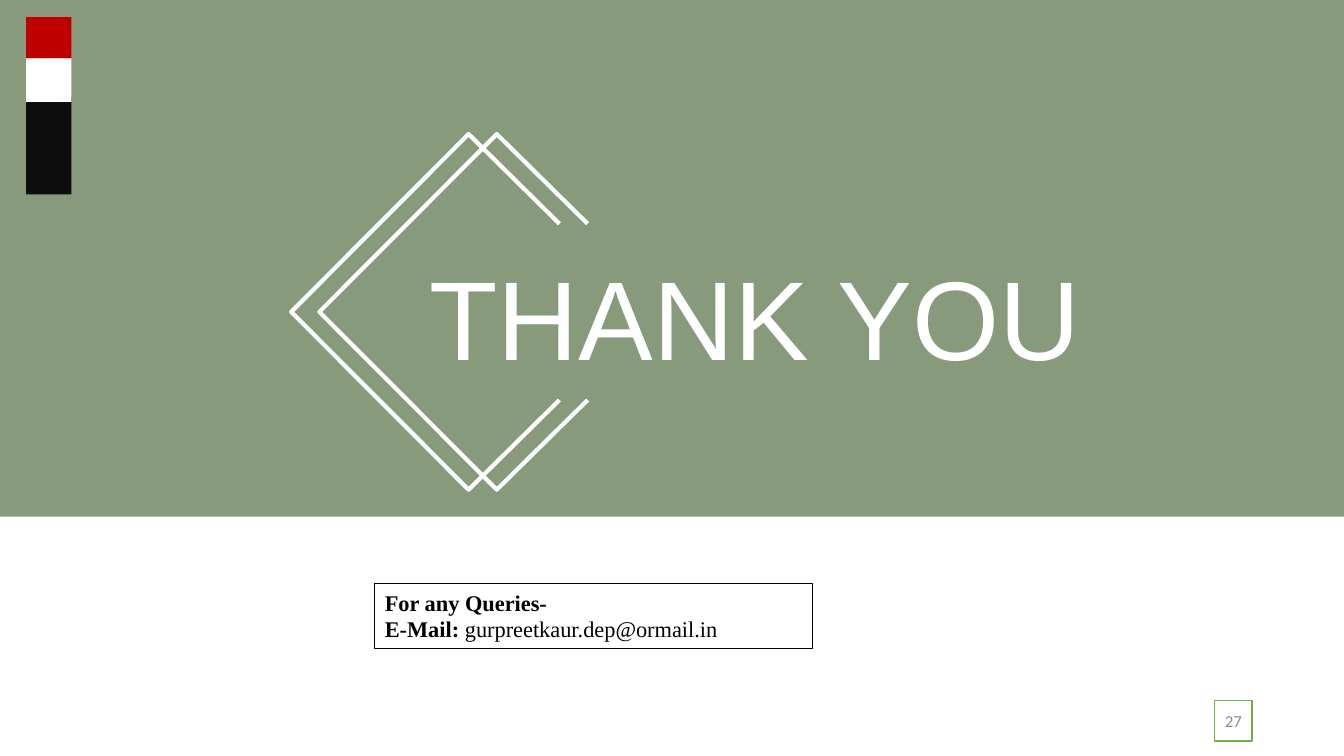
from lxml import etree
from pptx import Presentation
from pptx.dml.color import RGBColor
from pptx.enum.shapes import MSO_SHAPE
from pptx.enum.text import MSO_ANCHOR, MSO_AUTO_SIZE, PP_ALIGN
from pptx.oxml.ns import qn
from pptx.util import Cm, Pt

RECTANGLE = MSO_SHAPE.RECTANGLE
MIDDLE = MSO_ANCHOR.MIDDLE
FIXED_SIZE = MSO_AUTO_SIZE.NONE
CENTER, RIGHT = PP_ALIGN.CENTER, PP_ALIGN.RIGHT

WHITE = RGBColor(0xFF, 0xFF, 0xFF)
BLACK = RGBColor(0x00, 0x00, 0x00)
DARK_GREEN = RGBColor(0x38, 0x57, 0x23)
LIGHT_GREEN = RGBColor(0x70, 0xAD, 0x47)
RED = RGBColor(0xC0, 0x00, 0x00)
NEAR_BLACK = RGBColor(0x0D, 0x0D, 0x0D)
GRAY = RGBColor(0x8C, 0x8C, 0x8C)


def add_rectangle(page, left, top, width, height, fill, line=None):
    box = page.shapes.add_shape(RECTANGLE, Cm(left), Cm(top), Cm(width), Cm(height))
    box.shadow.inherit = False
    box.fill.solid()
    box.fill.fore_color.rgb = fill
    if line is None:
        box.line.fill.background()
    else:
        box.line.color.rgb = line
        box.line.width = Pt(1)
    return box


def add_span(para, text, font, size, color, bold=False):
    span = para.add_run()
    span.text = text
    span.font.name = font
    span.font.size = Pt(size)
    span.font.color.rgb = color
    span.font.bold = bold


deck = Presentation()
deck.slide_width, deck.slide_height = Cm(33.87), Cm(19.05)
page = deck.slides.add_slide(deck.slide_layouts[5])

for left, width in [(30.71, 0.81), (30.61, 0.94)]:
    add_rectangle(page, left, 17.65, width, 1.02, WHITE, LIGHT_GREEN)

banner = add_rectangle(page, 0, 0, 33.87, 13.02, DARK_GREEN)
banner_color = banner.fill._xPr.find(qn("a:solidFill"))[0]
etree.SubElement(banner_color, qn("a:alpha"), val="60000")

title = page.shapes.title
title.left, title.top, title.width, title.height = Cm(4.14), Cm(6.25), Cm(29.79), Cm(3.43)
frame = title.text_frame
frame.margin_left = frame.margin_right = frame.margin_top = frame.margin_bottom = 0
frame.vertical_anchor = MIDDLE
frame.word_wrap = True
frame.auto_size = FIXED_SIZE
frame.paragraphs[0].alignment = CENTER
add_span(frame.paragraphs[0], "THANK YOU", "Arial", 80, WHITE)
title.element.getparent().append(title.element)

for left in (7.34, 8.05):
    tip, end = left + 4.47, left + 6.76
    outline = page.shapes.build_freeform(Cm(end), Cm(10.08))
    corners = [(tip, 12.34), (left, 7.86), (tip, 3.38), (end, 5.64)]
    outline.add_line_segments([(Cm(x), Cm(y)) for x, y in corners], close=False)
    bracket = outline.convert_to_shape()
    bracket.shadow.inherit = False
    bracket.fill.background()
    bracket.line.color.rgb = WHITE
    bracket.line.width = Pt(3)

for top, height, color in [(0.43, 1.04, RED), (2.44, 2.46, NEAR_BLACK), (1.47, 1.1, WHITE)]:
    add_rectangle(page, 0.66, top, 1.14, height, color)

number_box = page.shapes.add_textbox(Cm(23.93), Cm(17.65), Cm(7.62), Cm(1.02))
number_box.text_frame.word_wrap = True
number_box.text_frame.vertical_anchor = MIDDLE
number_para = number_box.text_frame.paragraphs[0]
number_para.alignment = RIGHT
add_span(number_para, "27", "Calibri", 12, GRAY)

contact_box = page.shapes.add_textbox(Cm(9.45), Cm(14.71), Cm(11.02), Cm(1.63))
contact_box.line.color.rgb = BLACK
contact_box.line.width = Pt(0.75)
contact = contact_box.text_frame
contact.word_wrap = True
add_span(contact.paragraphs[0], "For any Queries-", "Times New Roman", 16, BLACK, True)
email_para = contact.add_paragraph()
add_span(email_para, "E-Mail: ", "Times New Roman", 16, BLACK, True)
add_span(email_para, "gurpreetkaur.dep@ormail.in", "Times New Roman", 16, BLACK)

deck.save("out.pptx")
